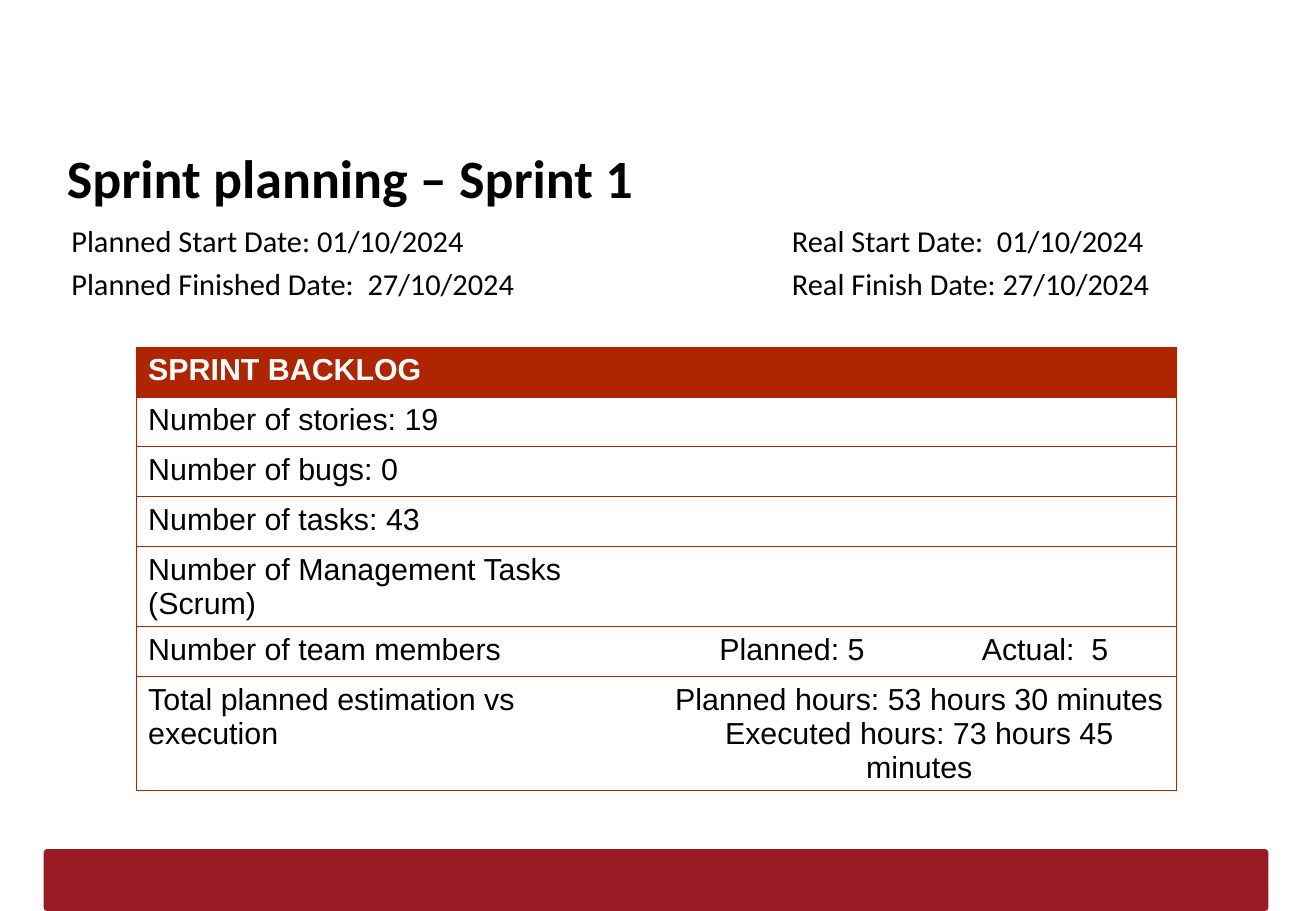
from lxml.etree import SubElement
from pptx import Presentation
from pptx.dml.color import RGBColor
from pptx.enum.shapes import MSO_SHAPE as Preset
from pptx.enum.text import MSO_ANCHOR as Anchor, PP_ALIGN as Align
from pptx.oxml.ns import qn
from pptx.util import Inches, Pt

WIDTH, HEIGHT = Inches(10.83), Inches(7.5)
COLORS = {"ink": "000000", "paper": "FFFFFF", "rust": "AE2500", "bar": "9A1A24"}
DATES_TAB = 5.93
TEAM_TABS = (0.37, 2.53)
DATES = [
    ("Planned Start Date: 01/10/2024", "Real Start Date:  01/10/2024"),
    ("Planned Finished Date:  27/10/2024", "Real Finish Date: 27/10/2024"),
]
BACKLOG = [
    ("SPRINT BACKLOG", []),
    ("Number of stories: 19", []),
    ("Number of bugs: 0", []),
    ("Number of tasks: 43", []),
    ("Number of Management Tasks (Scrum)", []),
    ("Number of team members", ["\tPlanned: 5\tActual:  5"]),
    ("Total planned estimation vs execution",
     ["Planned hours: 53 hours 30 minutes", "Executed hours: 73 hours 45 minutes"]),
]


def color(name):
    """Return the named colour."""
    return RGBColor.from_string(COLORS[name])


def place(left, top, width, height):
    """Turn percentages of the slide into lengths."""
    return [round(share * side / 100)
            for share, side in zip((left, top, width, height), (WIDTH, HEIGHT) * 2)]


def add_span(para, text, size, font, ink="ink", bold=False):
    """Add one formatted run."""
    span = para.add_run()
    span.text = text
    span.font.size, span.font.name, span.font.bold = Pt(size), font, bold
    span.font.color.rgb = color(ink)


def set_tabs(para, stops):
    """Give a paragraph left tab stops, in inches."""
    tabs = SubElement(para._p.get_or_add_pPr(), qn("a:tabLst"))
    for stop in stops:
        SubElement(tabs, qn("a:tab"), pos=str(Inches(stop)), algn="l")


def add_bar(page):
    """Draw the rounded bar at the foot."""
    bar = page.shapes.add_shape(Preset.ROUNDED_RECTANGLE, *place(3.32, 93.2, 93.07, 6.8))
    bar.adjustments[0] = 0.06
    bar.shadow.inherit = False
    bar.fill.solid()
    bar.fill.fore_color.rgb = color("bar")
    bar.line.fill.background()


def set_title(page, text):
    """Move and fill the title placeholder."""
    title = page.shapes.title
    title.left, title.top, title.width, title.height = place(4.16, 14.53, 91.32, 8.4)
    frame = title.text_frame
    frame.margin_left = frame.margin_right = Inches(0.1)
    frame.margin_top = frame.margin_bottom = Inches(0.1)
    frame.vertical_anchor = Anchor.TOP
    para = frame.paragraphs[0]
    para.alignment, para.line_spacing = Align.LEFT, 1.0
    add_span(para, text, 32, "Calibri", bold=True)


def add_dates(page):
    """Write planned and real dates side by side."""
    box = page.shapes.add_textbox(*place(4.52, 23.73, 91.32, 10.4))
    frame = box.text_frame
    frame.word_wrap = True
    for index, pair in enumerate(DATES):
        para = frame.add_paragraph() if index else frame.paragraphs[0]
        para.space_after = Pt(4)
        set_tabs(para, [DATES_TAB])
        add_span(para, "\t".join(pair), 18, "Calibri")


def set_borders(cell, column):
    """Rule a cell everywhere but on the inner vertical edge."""
    properties = cell._tc.get_or_add_tcPr()
    inner = "R" if column == 0 else "L"
    for side in "LRTB":
        line = SubElement(properties, qn(f"a:ln{side}"), w=str(Pt(0.75)))
        if side == inner:
            SubElement(line, qn("a:noFill"))
        else:
            fill = SubElement(line, qn("a:solidFill"))
            SubElement(fill, qn("a:srgbClr"), val=COLORS["rust"])


def fill_cell(cell, lines, header, column):
    """Format one cell and write its lines."""
    set_borders(cell, column)
    if header:
        cell.fill.solid()
        cell.fill.fore_color.rgb = color("rust")
    else:
        cell.fill.background()
    frame = cell.text_frame
    for index, text in enumerate(lines):
        para = frame.add_paragraph() if index else frame.paragraphs[0]
        if "\t" in text:
            set_tabs(para, TEAM_TABS)
        elif column:
            para.alignment = Align.CENTER
        add_span(para, text, 18, "Arial", "paper" if header else "ink", header)


def add_backlog(page):
    """Add the sprint backlog table."""
    table = page.shapes.add_table(len(BACKLOG), 2, *place(10.34, 38.13, 79.04, 38)).table
    table.first_row = table.horz_banding = False
    table.columns[0].width, table.columns[1].width = Inches(4.33), Inches(4.23)
    for index, (label, details) in enumerate(BACKLOG):
        table.rows[index].height = Inches(0.41)
        for column, lines in enumerate(([label], details)):
            fill_cell(table.cell(index, column), lines, index == 0, column)


def main():
    """Build and save the sprint planning slide."""
    deck = Presentation()
    deck.slide_width, deck.slide_height = WIDTH, HEIGHT
    page = deck.slides.add_slide(deck.slide_layouts[5])
    add_bar(page)
    set_title(page, "Sprint planning – Sprint 1")
    add_backlog(page)
    add_dates(page)
    deck.save("out.pptx")


if __name__ == "__main__":
    main()
